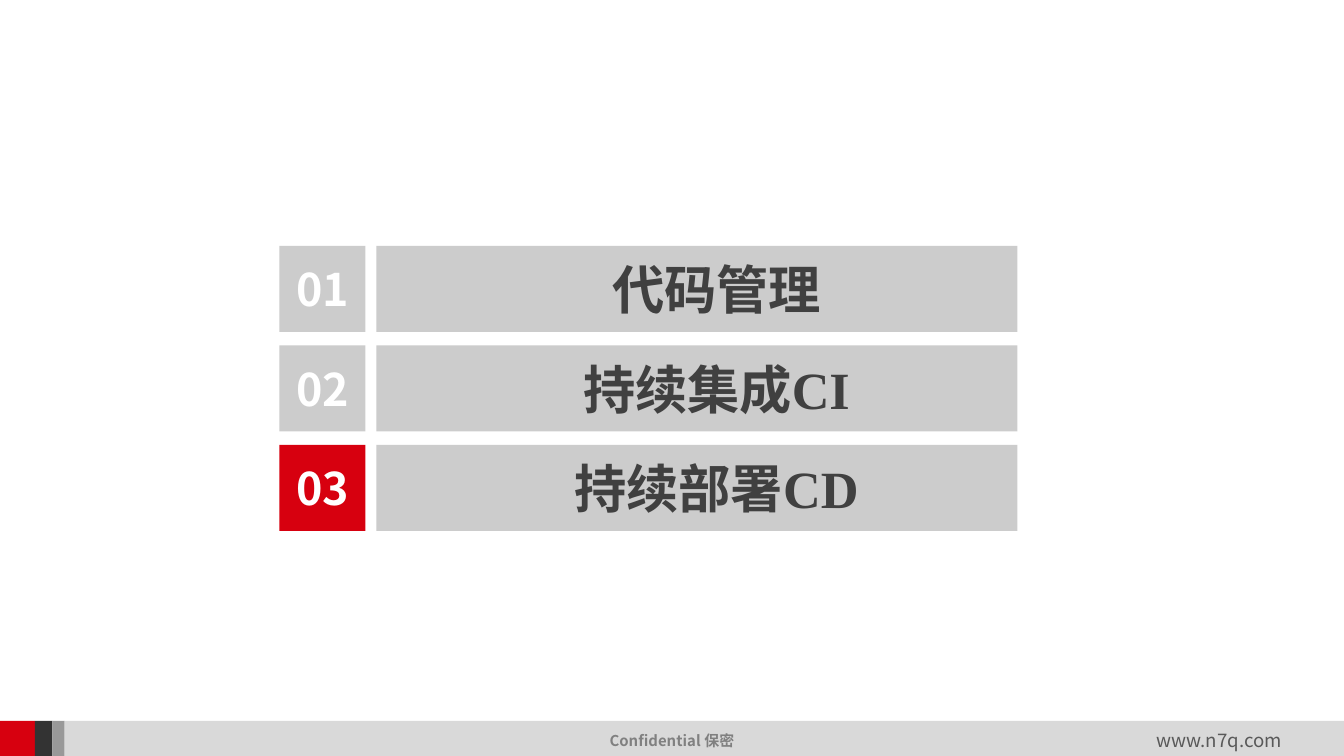
from pptx import Presentation
from pptx.dml.color import RGBColor
from pptx.enum.shapes import MSO_SHAPE
from pptx.enum.text import MSO_ANCHOR, PP_ALIGN
from pptx.oxml.ns import qn
from pptx.util import Inches, Pt

RECTANGLE = MSO_SHAPE.RECTANGLE
MIDDLE = MSO_ANCHOR.MIDDLE
CENTER, LEFT = PP_ALIGN.CENTER, PP_ALIGN.LEFT

RED = RGBColor(0xD7, 0x00, 0x0F)
WHITE = RGBColor(0xFF, 0xFF, 0xFF)
PANEL_GRAY = RGBColor(0xCC, 0xCC, 0xCC)
FOOTER_GRAY = RGBColor(0xD9, 0xD9, 0xD9)
CHARCOAL = RGBColor(0x33, 0x33, 0x33)
MID_GRAY = RGBColor(0x99, 0x99, 0x99)
TOPIC_TEXT = RGBColor(0x40, 0x40, 0x40)
NOTICE_TEXT = RGBColor(0x80, 0x80, 0x80)
ADDRESS_TEXT = RGBColor(0x59, 0x59, 0x59)

SANS = "Noto Sans CJK SC"
SERIF = "Times New Roman"

SLIDE_WIDTH = 10
SLIDE_HEIGHT = SLIDE_WIDTH * 9 / 16
FOOTER_HEIGHT = 0.26
FOOTER_TOP = SLIDE_HEIGHT - FOOTER_HEIGHT
FOOTER_BLOCKS = [(0.26, RED), (0.13, CHARCOAL), (0.09, MID_GRAY), (9.52, FOOTER_GRAY)]

TOPICS = ["代码管理", "持续集成CI", "持续部署CD"]
CURRENT_TOPIC = 3
NUMBER_LEFT, TOPIC_LEFT, TOPIC_WIDTH = 2.08, 2.8, 4.77
FIRST_ROW_TOP, ROW_HEIGHT, ROW_PITCH = 1.83, 0.64, 0.74


def write_text(shape, text, size, color, font=SANS, bold=False, align=CENTER):
    """Put one formatted, vertically centred line of text in a shape."""
    frame = shape.text_frame
    frame.text = text
    frame.vertical_anchor = MIDDLE
    paragraph = frame.paragraphs[0]
    paragraph.alignment = align
    for run in paragraph.runs:
        run.font.name = font
        run.font.size = Pt(size)
        run.font.bold = bold
        run.font.color.rgb = color
        east_asian = run.font._element.makeelement(qn("a:ea"), {"typeface": SANS})
        run.font._element.find(qn("a:latin")).addnext(east_asian)


def add_block(slide, left, top, width, height, color):
    """Add a plain filled rectangle."""
    shape = slide.shapes.add_shape(
        RECTANGLE, Inches(left), Inches(top), Inches(width), Inches(height)
    )
    shape.shadow.inherit = False
    shape.fill.solid()
    shape.fill.fore_color.rgb = color
    shape.line.fill.background()
    return shape


def add_label(slide, left, top, width, height, text, size, color, **style):
    """Add an unwrapped text box."""
    label = slide.shapes.add_textbox(
        Inches(left), Inches(top), Inches(width), Inches(height)
    )
    label.text_frame.word_wrap = False
    write_text(label, text, size, color, **style)


def add_footer(slide):
    """Add the footer band with its notice and web address."""
    left = 0
    for width, color in FOOTER_BLOCKS:
        add_block(slide, left, FOOTER_TOP, width, FOOTER_HEIGHT, color)
        left += width
    add_label(slide, 4.42, 5.39, 1.16, 0.24, "Confidential 保密", 8, NOTICE_TEXT, bold=True)
    add_label(slide, 8.51, 5.37, 1.13, 0.27, "www.n7q.com", 10, ADDRESS_TEXT, align=LEFT)


def add_topic(slide, number, title):
    """Add one agenda row with a number box and a topic bar."""
    top = FIRST_ROW_TOP + (number - 1) * ROW_PITCH
    color = RED if number == CURRENT_TOPIC else PANEL_GRAY
    box = add_block(slide, NUMBER_LEFT, top, ROW_HEIGHT, ROW_HEIGHT, color)
    write_text(box, f"{number:02d}", 24, WHITE, bold=True)
    bar = add_block(slide, TOPIC_LEFT, top, TOPIC_WIDTH, ROW_HEIGHT, PANEL_GRAY)
    bar.text_frame.margin_left = Inches(0.39)
    write_text(bar, title, 28, TOPIC_TEXT, font=SERIF, bold=True)


def main():
    """Build the agenda slide and save it."""
    presentation = Presentation()
    presentation.slide_width = Inches(SLIDE_WIDTH)
    presentation.slide_height = Inches(SLIDE_HEIGHT)
    slide = presentation.slides.add_slide(presentation.slide_layouts[6])
    add_footer(slide)
    for number, title in enumerate(TOPICS, start=1):
        add_topic(slide, number, title)
    presentation.save("out.pptx")


if __name__ == "__main__":
    main()
